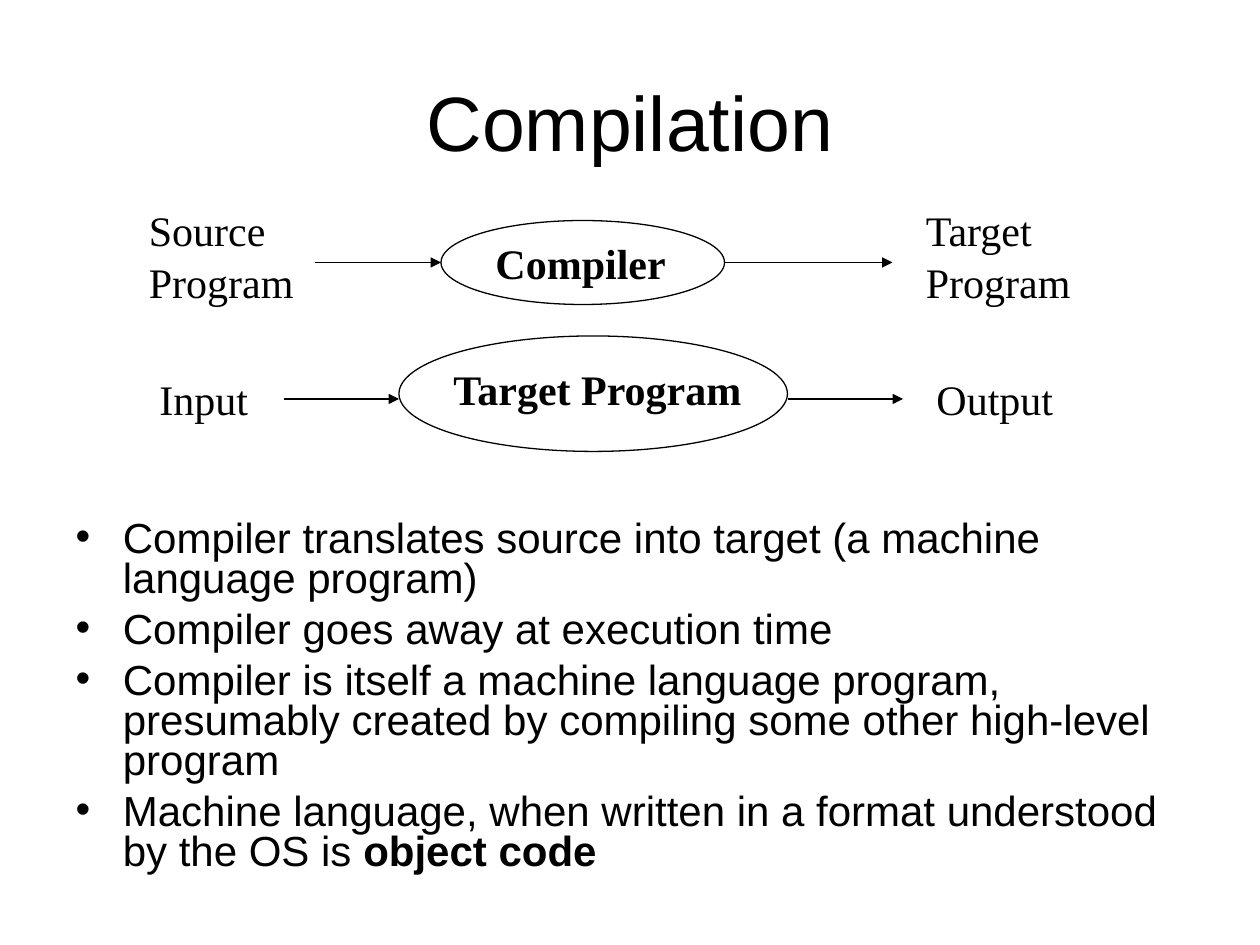
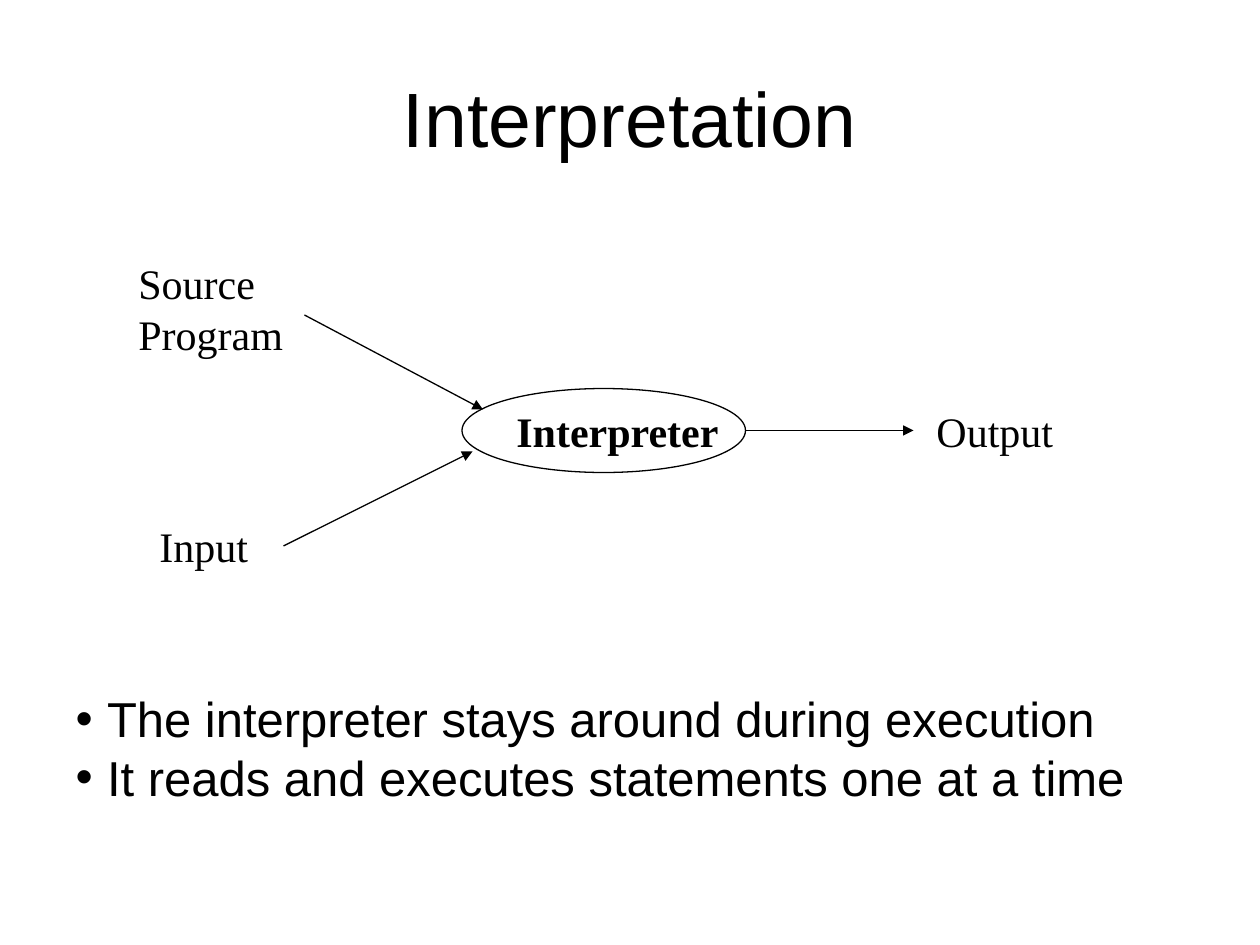
from lxml.etree import SubElement
from pptx import Presentation
from pptx.dml.color import RGBColor
from pptx.enum.shapes import MSO_CONNECTOR, MSO_SHAPE
from pptx.enum.text import MSO_ANCHOR, MSO_AUTO_SIZE, PP_ALIGN
from pptx.oxml.ns import qn
from pptx.util import Emu, Pt

# Shared look
PX = 9525  # EMU in one px, 96 px to the inch
COLORS = {"ink": "000000", "paper": "FFFFFF"}
INK = RGBColor.from_string(COLORS["ink"])
HEADING_FONT = "Arial"
DIAGRAM_FONT = "Times New Roman"

# Boxes are left, top, width, height; arrows are start x, y and end x, y
SLIDES = [
    {
        "title": ("Compilation", (72, 48, 816, 88)),
        "labels": [
            ("Compiler", (368, 176, 160, 48), True),
            ("Target Program", (336, 272, 248, 48), True),
            ("Source\nProgram", (104, 168, 144, 68), False),
            ("Target\nProgram", (696, 168, 136, 68), False),
            ("Input", (112, 280, 96, 48), False),
            ("Output", (704, 280, 112, 48), False),
        ],
        "ellipses": [(336, 168, 216, 64), (304, 256, 296, 88)],
        "arrows": [
            (240, 200, 336, 200),
            (552, 200, 680, 200),
            (216, 304, 304, 304),
            (600, 304, 688, 304),
        ],
        "list_box": (48, 392, 864, 288),
        "list_style": {"size": 24, "indent": 36, "spacing": 0.8, "before": 6},
        # Each bullet is a plain part and a bold ending
        "bullets": [
            ("Compiler translates source into target (a machine language program)", ""),
            ("Compiler goes away at execution time", ""),
            ("Compiler is itself a machine language program, presumably created "
             "by compiling some other high-level program", ""),
            ("Machine language, when written in a format understood by the OS is ",
             "object code"),
        ],
    },
    {
        "title": ("Interpretation", (48, 29, 864, 120)),
        "labels": [
            ("Interpreter", (384, 304, 176, 48), True),
            ("Source\nProgram", (96, 208, 144, 68), False),
            ("Input", (112, 392, 96, 48), False),
            ("Output", (704, 304, 112, 48), False),
        ],
        "ellipses": [(352, 296, 216, 64)],
        "arrows": [
            (232, 240, 368, 312),
            (568, 328, 696, 328),
            (216, 416, 360, 344),
        ],
        "list_box": (48, 520, 848, 100),
        "list_style": {"size": 28, "indent": 24, "spacing": 1.0, "before": 0},
        "bullets": [
            ("The interpreter stays around during execution", ""),
            ("It reads and executes statements one at a time", ""),
        ],
    },
]


def scale(lengths):
    return [Emu(length * PX) for length in lengths]


def format_runs(paragraph, font_name, size, bold=False):
    for run in paragraph.runs:
        run.font.name = font_name
        run.font.size = Pt(size)
        run.font.bold = bold
        run.font.color.rgb = INK


presentation = Presentation()
presentation.slide_width, presentation.slide_height = scale((960, 720))

for content in SLIDES:
    slide = presentation.slides.add_slide(presentation.slide_layouts[1])
    slide.background.fill.solid()
    slide.background.fill.fore_color.rgb = RGBColor.from_string(COLORS["paper"])

    # Title
    title = slide.shapes.title
    title_text, title_box = content["title"]
    title.left, title.top, title.width, title.height = scale(title_box)
    title.text_frame.text = title_text
    title.text_frame.vertical_anchor = MSO_ANCHOR.MIDDLE
    title.text_frame.auto_size = MSO_AUTO_SIZE.NONE
    title.text_frame.paragraphs[0].alignment = PP_ALIGN.CENTER
    format_runs(title.text_frame.paragraphs[0], HEADING_FONT, 44)

    # Diagram labels
    for label_text, label_box, bold in content["labels"]:
        label = slide.shapes.add_textbox(*scale(label_box))
        label.text_frame.word_wrap = True
        label.text_frame.auto_size = MSO_AUTO_SIZE.SHAPE_TO_FIT_TEXT
        label.text_frame.text = label_text
        for paragraph in label.text_frame.paragraphs:
            paragraph.space_before = Pt(15)
            if "\n" in label_text:
                paragraph.line_spacing = 0.5
            format_runs(paragraph, DIAGRAM_FONT, 24, bold)

    # Processing steps
    for ellipse_box in content["ellipses"]:
        ellipse = slide.shapes.add_shape(MSO_SHAPE.OVAL, *scale(ellipse_box))
        ellipse.shadow.inherit = False
        ellipse.fill.background()
        ellipse.line.color.rgb = INK
        ellipse.line.width = Pt(0.75)

    # Data flow arrows
    for ends in content["arrows"]:
        arrow = slide.shapes.add_connector(MSO_CONNECTOR.STRAIGHT, *scale(ends))
        arrow.line.color.rgb = INK
        arrow.line.width = Pt(0.75)
        SubElement(arrow.line._get_or_add_ln(), qn("a:tailEnd"), type="triangle")
        SubElement(arrow._element.spPr, qn("a:effectLst"))

    # Bullet list
    body = slide.placeholders[1]
    body.left, body.top, body.width, body.height = scale(content["list_box"])
    body.text_frame.auto_size = MSO_AUTO_SIZE.NONE
    body.text_frame.text = "\n".join(plain for plain, ending in content["bullets"])
    style = content["list_style"]
    for paragraph, (plain, ending) in zip(body.text_frame.paragraphs, content["bullets"]):
        paragraph.line_spacing = style["spacing"]
        paragraph.space_before = Pt(style["before"])
        properties = paragraph._p.get_or_add_pPr()
        properties.set("marL", str(style["indent"] * PX))
        properties.set("indent", str(-style["indent"] * PX))
        SubElement(properties, qn("a:buChar"), char="•")
        if ending:
            paragraph.add_run().text = ending
        format_runs(paragraph, HEADING_FONT, style["size"])
        if ending:
            paragraph.runs[-1].font.bold = True

presentation.save("out.pptx")
